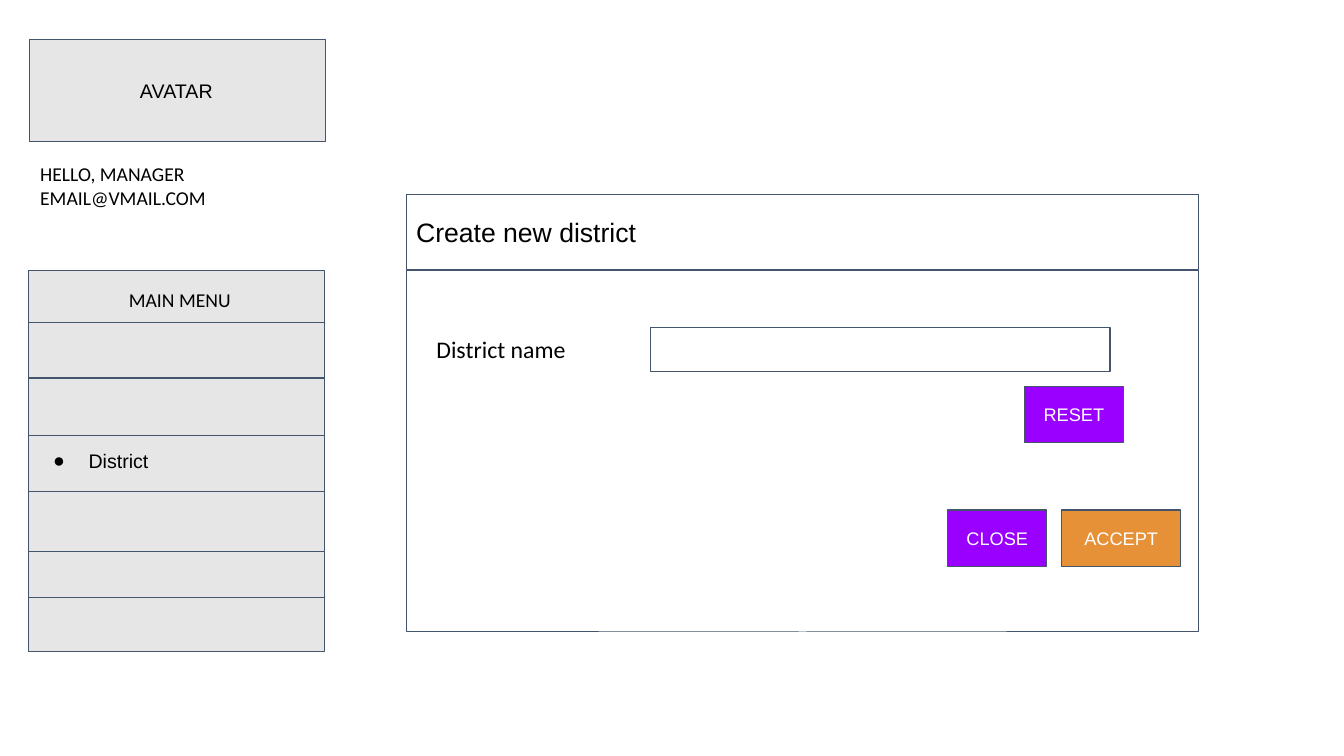
"""Build a wireframe slide of the form for creating a district."""
from itertools import accumulate

from lxml import etree
from pptx import Presentation
from pptx import util as u
from pptx.dml.color import RGBColor
from pptx.enum import shapes, text
from pptx.oxml.ns import qn

SLIDE_SIZE = (13.33, 7.5)
BLACK, WHITE, GREY, SLATE = "000000", "FFFFFF", "E7E6E6", "44546A"
PURPLE, ORANGE = "9900FF", "E69138"
LINE_WIDTH = 0.75
INSET = 0.1

SIDE_LEFT, SIDE_WIDTH = 0.28, 2.94
MENU_TOP = 2.68
MENU_ROWS = [0.52, 0.55, 0.57, 0.56, 0.59, 0.46, 0.53]
DIALOG_LEFT, DIALOG_WIDTH = 4.03, 7.86
HEADER_TOP, HEADER_HEIGHT, BODY_HEIGHT = 1.93, 0.74, 3.59
FIELD_TOP, FIELD_HEIGHT = 3.25, 0.44
BUTTON_WIDTH, BUTTON_HEIGHT = 0.98, 0.56
RESET_TOP, ACTION_TOP = 3.83, 5.06

LEFT, CENTER = text.PP_ALIGN.LEFT, text.PP_ALIGN.CENTER
TITLE = {"size": 19, "name": "Arial", "color": BLACK}
SIDE = {"size": 14, "name": "Arial", "color": BLACK}
CAPTION = {"size": 14, "name": "Calibri", "color": BLACK}
FIELD = {"size": 17, "name": "Calibri", "color": BLACK}
BUTTON = {"size": 13, "name": "Arial", "color": WHITE}

BOXES = [
    ((SIDE_LEFT, MENU_TOP, SIDE_WIDTH, sum(MENU_ROWS)), GREY, "District", SIDE,
     {"margin": 0.5, "indent": -0.35, "bullet": "●"}),
    ((SIDE_LEFT + 0.01, 0.39, SIDE_WIDTH, 1.01), GREY, "AVATAR", SIDE,
     {"margin": 0.5, "indent": 0.5}),
    ((DIALOG_LEFT, MENU_TOP, DIALOG_WIDTH, BODY_HEIGHT), WHITE, "", None, {}),
    ((DIALOG_LEFT, HEADER_TOP, DIALOG_WIDTH, HEADER_HEIGHT), WHITE,
     "Create new district", TITLE, {}),
    ((6.45, FIELD_TOP, 4.56, FIELD_HEIGHT), WHITE, "", None, {}),
    ((10.16, RESET_TOP, BUTTON_WIDTH, BUTTON_HEIGHT), PURPLE, "RESET", BUTTON, {"align": CENTER}),
    ((9.4, ACTION_TOP, BUTTON_WIDTH, BUTTON_HEIGHT), PURPLE, "CLOSE", BUTTON, {"align": CENTER}),
    ((10.53, ACTION_TOP, 1.18, BUTTON_HEIGHT), ORANGE, "ACCEPT", BUTTON, {"align": CENTER}),
]
LABELS = [
    ((0.68, 2.76, 2.14, 0.44), "MAIN MENU", CAPTION, {"indent": 0.5}),
    ((0.3, 1.51, SIDE_WIDTH, 0.67), "HELLO, MANAGER\nEMAIL@VMAIL.COM", CAPTION, {}),
    ((4.23, 3.22, 1.84, 0.49), "District name", FIELD, {}),
]


def rgb(value):
    """Turn a hex string into a colour."""
    return RGBColor.from_string(value)


def inches(values):
    """Turn plain numbers into lengths."""
    return [u.Inches(value) for value in values]


def write(shape, content, style, layout, anchor):
    """Fill a shape with formatted paragraphs."""
    frame = shape.text_frame
    margins = {f"margin_{side}": u.Inches(INSET) for side in ("left", "top", "right", "bottom")}
    for name, value in {"word_wrap": True, "vertical_anchor": anchor, **margins}.items():
        setattr(frame, name, value)
    frame.text = content
    for paragraph in frame.paragraphs:
        paragraph.alignment = layout.get("align", LEFT)
        properties = paragraph._p.get_or_add_pPr()
        properties.set("marL", str(u.Inches(layout.get("margin", 0))))
        properties.set("indent", str(u.Inches(layout.get("indent", 0))))
        if "bullet" in layout:
            color = etree.SubElement(properties, qn("a:buClr"))
            etree.SubElement(color, qn("a:srgbClr"), val=style["color"])
            etree.SubElement(properties, qn("a:buFont"), typeface=style["name"])
            etree.SubElement(properties, qn("a:buChar"), char=layout["bullet"])
        for run in paragraph.runs:
            for name, value in {"size": u.Pt(style["size"]), "name": style["name"]}.items():
                setattr(run.font, name, value)
            run.font.color.rgb = rgb(style["color"])


def outline(shape):
    """Give a shape or connector the common line."""
    shape.line.color.rgb = rgb(SLATE)
    shape.line.width = u.Pt(LINE_WIDTH)


def add_box(slide, place, fill, content, style, layout):
    """Add a filled rectangle with optional text."""
    box = slide.shapes.add_shape(shapes.MSO_SHAPE.RECTANGLE, *inches(place))
    box.shadow.inherit = False
    box.fill.solid()
    box.fill.fore_color.rgb = rgb(fill)
    outline(box)
    if content:
        write(box, content, style, layout, text.MSO_ANCHOR.MIDDLE)


def add_divider(slide, top):
    """Add a line between two menu rows."""
    ends = inches((SIDE_LEFT, top, SIDE_LEFT + SIDE_WIDTH, top))
    divider = slide.shapes.add_connector(shapes.MSO_CONNECTOR.STRAIGHT, *ends)
    outline(divider)
    etree.SubElement(divider._element.spPr, qn("a:effectLst"))


def main():
    """Build and save the slide."""
    presentation = Presentation()
    presentation.slide_width, presentation.slide_height = inches(SLIDE_SIZE)
    slide = presentation.slides.add_slide(presentation.slide_layouts[6])
    for box in BOXES:
        add_box(slide, *box)
    for offset in accumulate(MENU_ROWS[:-1]):
        add_divider(slide, MENU_TOP + offset)
    for place, content, style, layout in LABELS:
        label = slide.shapes.add_textbox(*inches(place))
        write(label, content, style, layout, text.MSO_ANCHOR.TOP)
    presentation.save("out.pptx")


if __name__ == "__main__":
    main()
